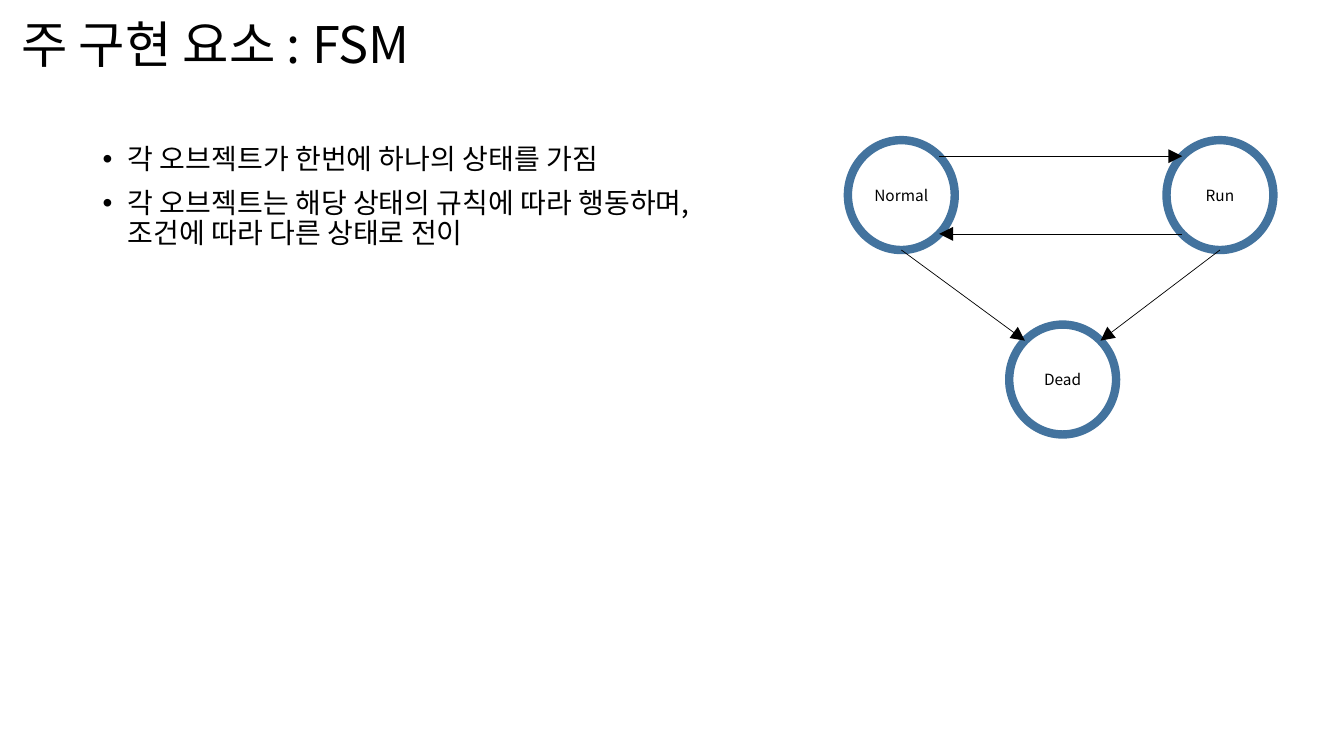
from math import sqrt

from lxml.etree import SubElement
from pptx import Presentation
from pptx.dml.color import RGBColor
from pptx.enum.shapes import MSO_CONNECTOR as CONNECTOR, MSO_SHAPE as SHAPE
from pptx.enum.text import MSO_ANCHOR as ANCHOR, PP_ALIGN as ALIGN
from pptx.oxml.ns import qn
from pptx.util import Inches, Pt

FONT = "Noto Sans CJK KR"
BLACK = RGBColor(0x00, 0x00, 0x00)
RING_BLUE = RGBColor(0x43, 0x73, 0x9E)
STATE_WIDTH, STATE_HEIGHT = 1.06, 1.09
STATES = {"Normal": (8.41, 1.39), "Run": (11.57, 1.39), "Dead": (10.01, 3.22)}
DIAGONAL = 1 / sqrt(2)
TRANSITIONS = [
    ("Normal", (DIAGONAL, -DIAGONAL), "Run", (-DIAGONAL, -DIAGONAL)),
    ("Run", (-DIAGONAL, DIAGONAL), "Normal", (DIAGONAL, DIAGONAL)),
    ("Normal", (0, 1), "Dead", (-DIAGONAL, -DIAGONAL)),
    ("Run", (0, 1), "Dead", (DIAGONAL, -DIAGONAL)),
]
RULES = [
    "각 오브젝트가 한번에 하나의 상태를 가짐",
    "각 오브젝트는 해당 상태의 규칙에 따라 행동하며, 조건에 따라 다른 상태로 전이",
]


def write(paragraph, text, size, align=ALIGN.LEFT, line_spacing=1.0, space_before=0):
    paragraph.alignment = align
    paragraph.line_spacing = line_spacing
    paragraph.space_before = Pt(space_before)
    run = paragraph.add_run()
    run.text = text
    run.font.size = Pt(size)
    run.font.color.rgb = BLACK
    run.font.name = FONT
    SubElement(run.font._element, qn("a:ea"), typeface=FONT)


def add_text_frame(slide, left, top, width, height, anchor):
    frame = slide.shapes.add_textbox(
        Inches(left), Inches(top), Inches(width), Inches(height)).text_frame
    frame.word_wrap = True
    frame.vertical_anchor = anchor
    return frame


def add_title(slide, text):
    frame = add_text_frame(slide, 0, -0.03, 11.5, 0.99, ANCHOR.MIDDLE)
    frame.margin_left = Inches(0.21)
    write(frame.paragraphs[0], text, 36, line_spacing=0.9)


def add_rules(slide, rules):
    frame = add_text_frame(slide, 0.92, 1.39, 6.84, 4.76, ANCHOR.TOP)
    for index, rule in enumerate(rules):
        paragraph = frame.add_paragraph() if index else frame.paragraphs[0]
        write(paragraph, rule, 20, line_spacing=0.9, space_before=10 if index else 0)
        properties = paragraph._p.get_or_add_pPr()
        properties.set("marL", str(Inches(0.25)))
        properties.set("indent", str(-Inches(0.25)))
        SubElement(properties, qn("a:buFont"), typeface="Arial")
        SubElement(properties, qn("a:buChar"), char="•")


def add_state(slide, name):
    left, top = STATES[name]
    state = slide.shapes.add_shape(
        SHAPE.OVAL, Inches(left), Inches(top), Inches(STATE_WIDTH), Inches(STATE_HEIGHT))
    state.shadow.inherit = False
    state.fill.background()
    state.line.color.rgb = RING_BLUE
    state.line.width = Pt(6)
    state.text_frame.vertical_anchor = ANCHOR.MIDDLE
    write(state.text_frame.paragraphs[0], name, 11, align=ALIGN.CENTER)


def rim_point(name, direction):
    left, top = STATES[name]
    across, down = direction
    return (Inches(left + STATE_WIDTH / 2 * (1 + across)),
            Inches(top + STATE_HEIGHT / 2 * (1 + down)))


def add_transition(slide, source, source_side, target, target_side):
    arrow = slide.shapes.add_connector(
        CONNECTOR.STRAIGHT, *rim_point(source, source_side), *rim_point(target, target_side))
    arrow.line.color.rgb = BLACK
    arrow.line.width = Pt(0.5)
    SubElement(arrow.line._get_or_add_ln(), qn("a:tailEnd"), type="triangle", w="lg", len="lg")
    SubElement(arrow._element.spPr, qn("a:effectLst"))


def main():
    presentation = Presentation()
    presentation.slide_width = Inches(13.33)
    presentation.slide_height = Inches(7.5)
    slide = presentation.slides.add_slide(presentation.slide_layouts[6])
    add_title(slide, "주 구현 요소 : FSM")
    add_rules(slide, RULES)
    for name in STATES:
        add_state(slide, name)
    for transition in TRANSITIONS:
        add_transition(slide, *transition)
    presentation.save("out.pptx")


if __name__ == "__main__":
    main()
